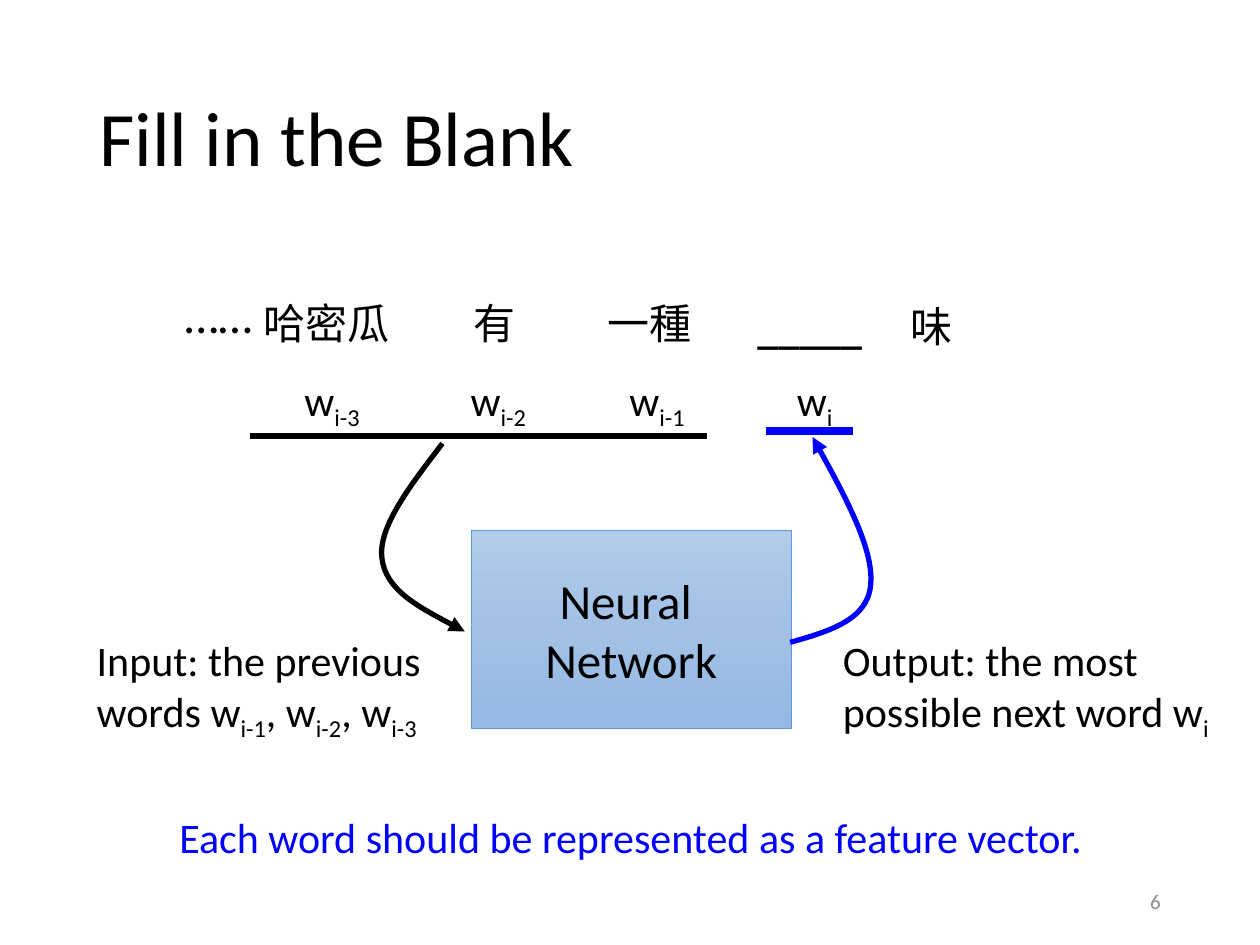
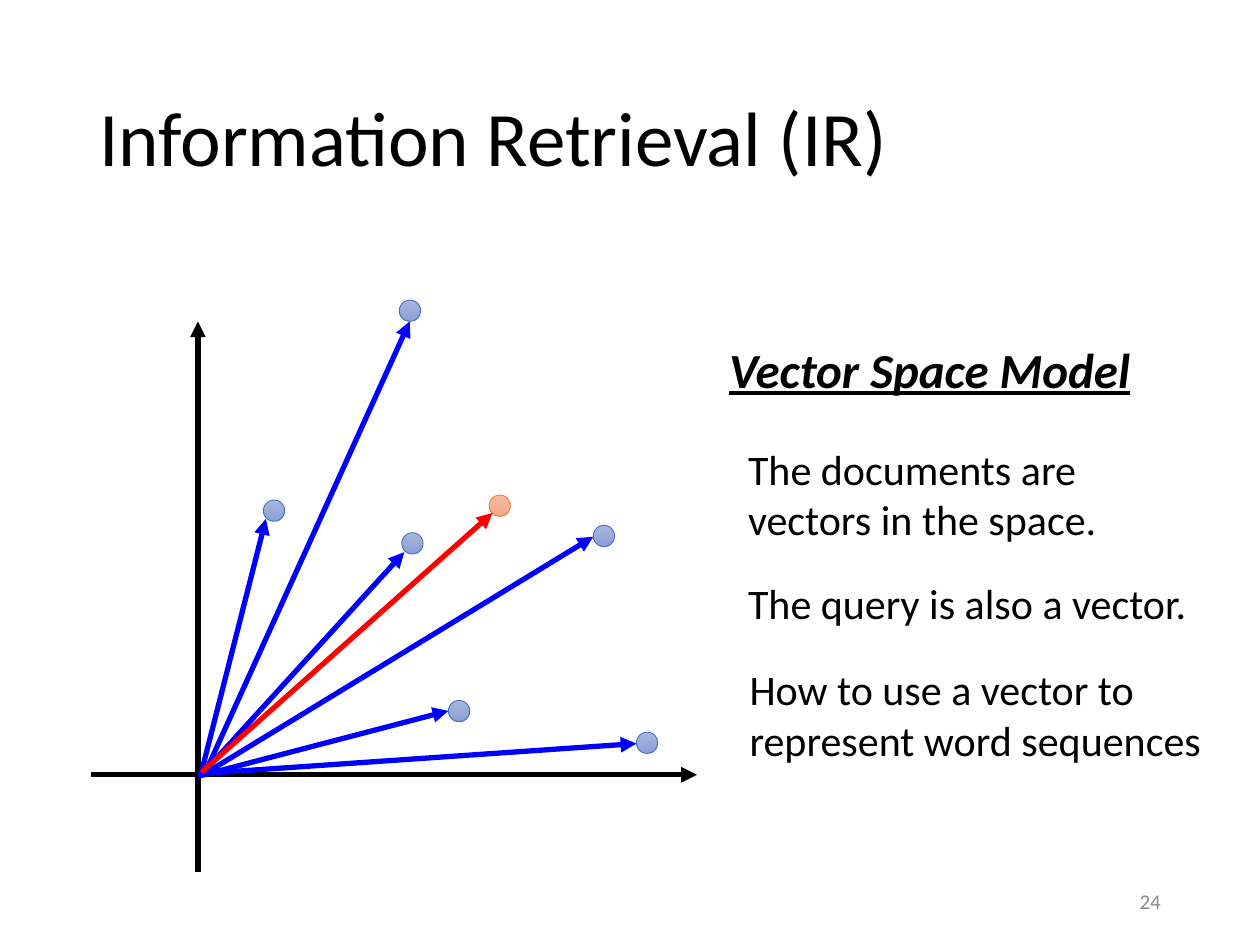
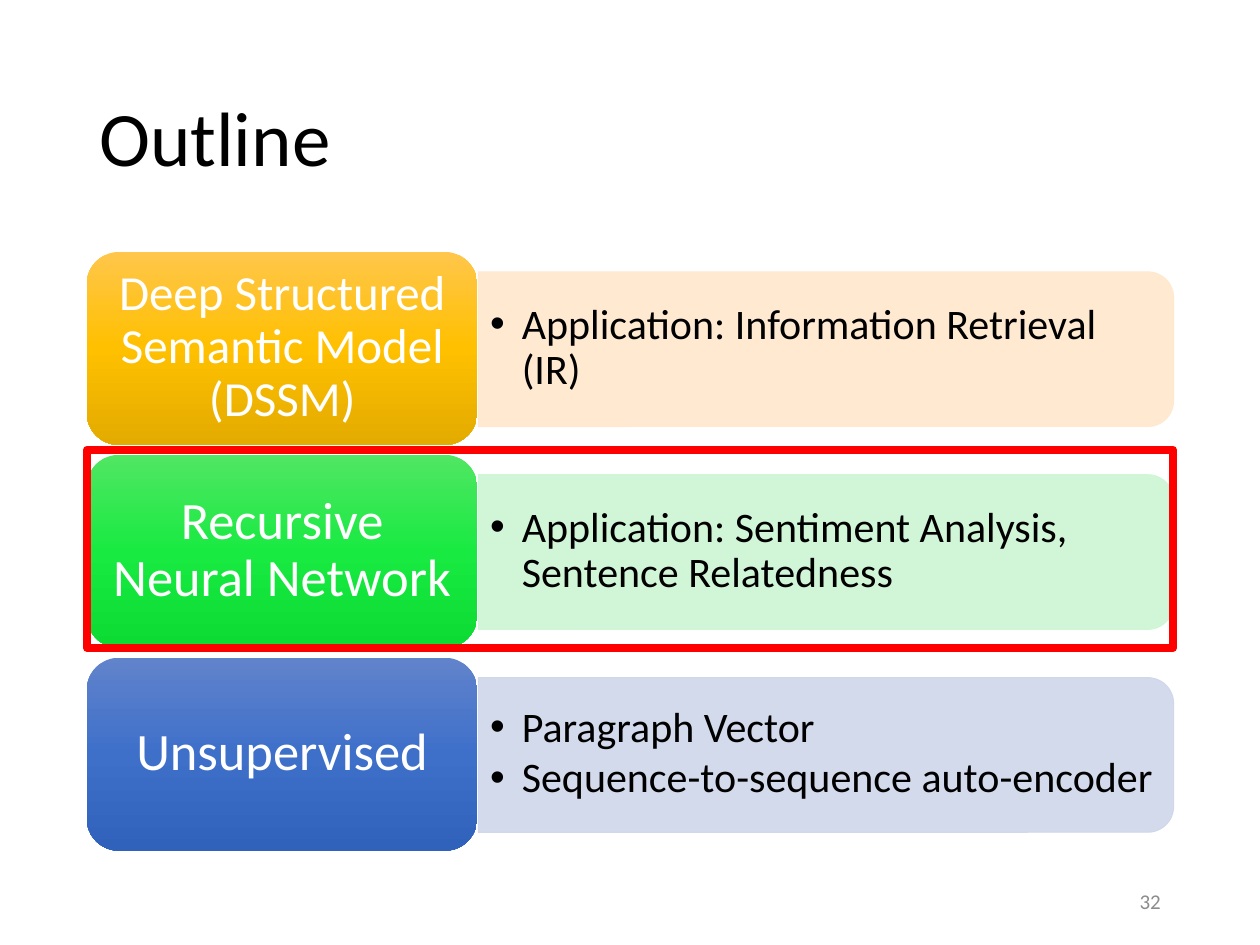
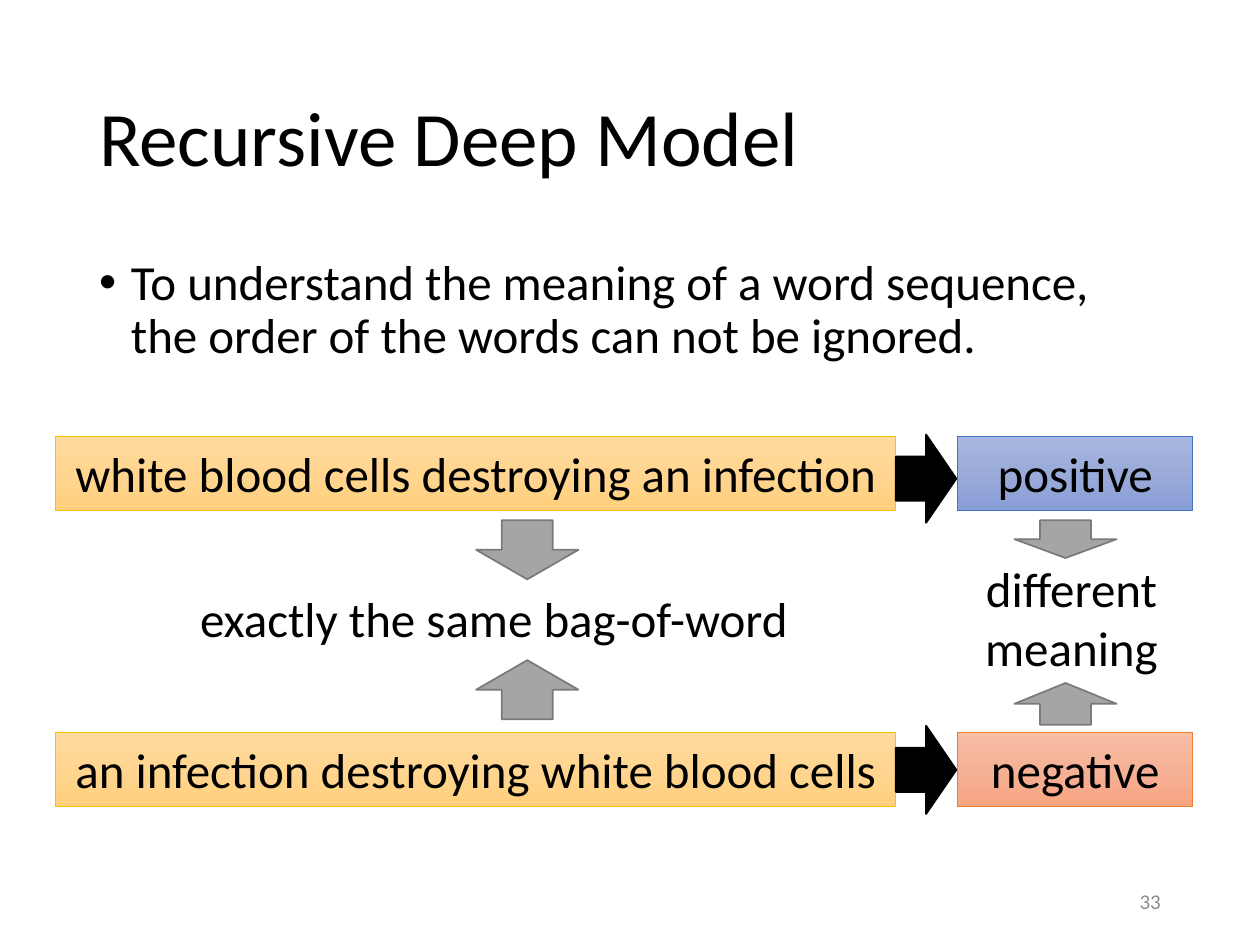
from copy import deepcopy
from lxml import etree
from pptx import Presentation
from pptx.dml.color import RGBColor
from pptx.enum.shapes import MSO_CONNECTOR, MSO_SHAPE
from pptx.enum.text import MSO_ANCHOR, PP_ALIGN
from pptx.oxml.ns import qn
from pptx.util import Cm, Pt

RECT = MSO_SHAPE.RECTANGLE
ROUND = MSO_SHAPE.ROUNDED_RECTANGLE
PANEL = MSO_SHAPE.ROUND_2_SAME_RECTANGLE
OVAL = MSO_SHAPE.OVAL
RIGHT = MSO_SHAPE.RIGHT_ARROW
DOWN = MSO_SHAPE.DOWN_ARROW
STRAIGHT = MSO_CONNECTOR.STRAIGHT
TOP = MSO_ANCHOR.TOP
MID = MSO_ANCHOR.MIDDLE
LEFT = PP_ALIGN.LEFT
CENTER = PP_ALIGN.CENTER
END = PP_ALIGN.RIGHT

FONT = "Calibri"
BLACK = "000000"
WHITE = "FFFFFF"
BLUE = "0000FF"
RED = "FF0000"
GREY = "8C8C8C"
SKY = ["B1CBE9", "A3C1E5", "93B9E4"]
INDIGO = ["A8B7DF", "9AABD9", "889ED7"]
CORAL = ["F7BDA5", "F5B196", "F8A582"]
AMBER = ["FFDB9E", "FFD590", "FFD07C"]

color = RGBColor.from_string


def ink(shape, hue, width, arrow=False):
    shape.line.color.rgb = color(hue)
    shape.line.width = Pt(width)
    props = shape._element.spPr
    if arrow:
        etree.SubElement(props.find(qn("a:ln")), qn("a:tailEnd"), type="triangle")
    if props.find(qn("a:effectLst")) is None:
        etree.SubElement(props, qn("a:effectLst"))


def put(slide, box, lines=(), size=24, hue=BLACK, align=LEFT, anchor=TOP,
        kind=None, fill=None, edge=None, width=0.5, spread=None,
        level=0, indent=None, bullet=False, after=None):
    area = [Cm(v) for v in box]
    if kind is None:
        shape = slide.shapes.add_textbox(*area)
    else:
        shape = slide.shapes.add_shape(kind, *area)
        shape.shadow.inherit = False
        if isinstance(fill, list):
            shape.fill.gradient()
            shape.fill.gradient_angle = 270
            stops = shape._element.spPr.find(qn("a:gradFill")).find(qn("a:gsLst"))
            stops.insert(1, deepcopy(stops[0]))
            for stop, tint, place in zip(shape.fill.gradient_stops, fill, (0, 0.5, 1)):
                stop.color.rgb = color(tint)
                stop.position = place
        elif fill:
            shape.fill.solid()
            shape.fill.fore_color.rgb = color(fill)
        else:
            shape.fill.background()
        if edge:
            ink(shape, edge, width)
        else:
            shape.line.fill.background()
    frame = shape.text_frame
    frame.word_wrap = True
    frame.vertical_anchor = anchor
    for n, line in enumerate(lines):
        para = frame.paragraphs[0] if n == 0 else frame.add_paragraph()
        parts = line.split("~")
        para.text = parts[0]
        for k, part in enumerate(parts[1:]):
            run = para.add_run()
            run.text = part
            if k % 2 == 0:
                run.font._element.set("baseline", "-25000")
        para.alignment = align
        para.level = level
        if spread:
            para.line_spacing = spread
        if after:
            para.space_after = Pt(after)
        props = para._p.get_or_add_pPr()
        if indent:
            props.set("marL", str(Cm(indent)))
            props.set("indent", str(-Cm(indent) if bullet else 0))
        if bullet:
            etree.SubElement(props, qn("a:buFont"), typeface="Arial")
            etree.SubElement(props, qn("a:buChar"), char="•")
        para.font.name = FONT
        para.font.size = Pt(size)
        para.font.color.rgb = color(hue)
    return shape


deck = Presentation()
deck.slide_width = Cm(25.4)
deck.slide_height = Cm(19.05)

pages = []
for title, number in [("Fill in the Blank", 6), ("Information Retrieval (IR)", 24),
                      ("Outline", 32), ("Recursive Deep Model", 33)]:
    page = deck.slides.add_slide(deck.slide_layouts[6])
    put(page, (1.75, 1.02, 21.9, 3.68), [title], 44, anchor=MID, spread=0.9)
    put(page, (17.93, 17.65, 5.72, 1.02), [str(number)], 12, GREY, END, MID)
    pages.append(page)
blank, search, outline, model = pages

for text, left, top, wide in [
        ("哈密瓜", 3.78, 5.87, 5.61), ("有", 8.48, 5.87, 2.97), ("一種", 11.61, 5.87, 2.97),
        ("味", 17.86, 5.94, 1.83),
        ("w~i-3", 3.89, 7.42, 5.61), ("w~i-2", 8.56, 7.42, 2.97),
        ("w~i-1", 11.76, 7.42, 2.97), ("w~i", 14.94, 7.42, 2.97)]:
    put(blank, (left, top, wide, 1.27), [text], align=CENTER)
gap = put(blank, (14.99, 5.97, 2.67, 1.27), ["_____"], align=CENTER)
gap.text_frame.paragraphs[0].font.bold = True
put(blank, (2.64, 5.61, 3.53, 1.45), ["……"], 28, align=CENTER)

for start, stop, level, hue, width in [(15.44, 17.2, 8.69, BLUE, 4.5),
                                       (5.03, 14.25, 8.79, BLACK, 3)]:
    rule = blank.shapes.add_connector(STRAIGHT, Cm(start), Cm(level), Cm(stop), Cm(level))
    ink(rule, hue, width)

put(blank, (9.5, 10.69, 6.45, 3.99), ["Neural ", "Network"], 28, align=CENTER,
    anchor=MID, kind=RECT, fill=SKY, edge="5B9BD5")

for hue, points in [
        (BLACK, [(8.92, 8.94), (8.28, 9.78), (7.62, 10.62), (7.7, 11.25),
                 (7.77, 11.89), (8.59, 12.32), (9.37, 12.73)]),
        (BLUE, [(15.93, 12.95), (16.71, 12.73), (17.48, 12.5), (17.55, 11.81),
                (17.63, 11.13), (17.02, 9.96), (16.38, 8.81)])]:
    spots = [(Cm(x), Cm(y)) for x, y in points]
    pen = blank.shapes.build_freeform(*spots[0])
    pen.add_line_segments(spots[1:], close=False)
    curve = pen.convert_to_shape()
    curve.fill.background()
    ink(curve, hue, 3, True)
    trace = next(curve._element.iter(qn("a:path")))
    steps = trace.findall(qn("a:lnTo"))
    for n in range(0, len(steps), 3):
        bend = etree.SubElement(trace, qn("a:cubicBezTo"))
        for step in steps[n:n + 3]:
            bend.append(step[0])
            trace.remove(step)

put(blank, (0.43, 12.67, 9.27, 2.31),
    ["Input: the previous words w~i-1~, w~i-2~, w~i-3"], level=1, indent=1.27)
put(blank, (15.47, 12.67, 9.19, 2.31),
    ["Output: the most possible next word w~i"], level=1, indent=1.27)
put(blank, (3.05, 16.23, 19.33, 1.27),
    ["Each word should be represented as a feature vector."], hue=BLUE, align=CENTER)

DOC = (BLUE, INDIGO, "4472C4")
QUERY = (RED, CORAL, "ED7D31")
for ends, dot, look in [
        ((1.83, 15.62, 14.05, 15.62), None, (BLACK, None, None)),
        ((3.99, 17.58, 3.99, 6.48), None, (BLACK, None, None)),
        ((4.06, 15.57, 5.36, 10.46), (5.31, 10.08), DOC),
        ((3.99, 15.65, 9.04, 14.33), (9.04, 14.12), DOC),
        ((3.99, 15.6, 12.83, 14.99), (12.83, 14.76), DOC),
        ((4.09, 15.62, 11.96, 10.82), (11.96, 10.59), DOC),
        ((4.14, 15.57, 8.26, 6.48), (8.05, 6.05), DOC),
        ((4.06, 15.62, 8.15, 11.13), (8.1, 10.74), DOC),
        ((4.06, 15.57, 9.93, 10.34), (9.86, 9.98), QUERY)]:
    hue, fill, edge = look
    if dot:
        put(search, (*dot, 0.43, 0.43), kind=OVAL, fill=fill, edge=edge)
    arrow = search.shapes.add_connector(STRAIGHT, *[Cm(v) for v in ends])
    ink(arrow, hue, 3, True)

head = put(search, (14.45, 6.71, 9.17, 1.45), ["Vector Space Model"], 28)
font = head.text_frame.paragraphs[0].font
font.bold = font.italic = font.underline = True
put(search, (14.83, 8.81, 8.18, 2.31), ["The documents are vectors in the space."])
put(search, (14.83, 11.51, 9.65, 1.27), ["The query is also a vector."])
put(search, (14.86, 13.26, 9.65, 2.31), ["How to use a vector to represent word sequences"])

for n, (name, size, fill, pale, items) in enumerate([
        ("Deep Structured Semantic Model\v(DSSM)", 28, ["FFC64B", "FFC000", "E3AB00"],
         "FFE8CC", ["Application: Information Retrieval (IR)"]),
        ("Recursive Neural Network", 30, ["51E663", "19EA42", "0CDB34"],
         "CCF6D3", ["Application: Sentiment Analysis, Sentence Relatedness"]),
        ("Unsupervised", 30, ["6183CB", "3E70CA", "3062BB"],
         "CFD6EA", ["Paragraph Vector", "Sequence-to-sequence auto-encoder"])]):
    down = 4.09 * n
    panel = put(outline, (15.09, 0.03 + down, 3.12, 14.02), kind=PANEL, fill=pale, edge=pale)
    panel.rotation = 90
    for tint in panel._element.spPr.iter(qn("a:srgbClr")):
        etree.SubElement(tint, qn("a:alpha"), val="90000")
    put(outline, (9.63, 5.61 + down, 13.87, 2.82), items, anchor=MID, spread=0.9,
        level=1, indent=0.64, bullet=True, after=3)
    put(outline, (1.75, 5.08 + down, 7.87, 3.89), kind=ROUND, fill=fill)
    label = put(outline, (1.93, 5.26 + down, 7.52, 3.51), [name], size, WHITE,
                CENTER, MID, spread=0.9).text_frame
    label.margin_left = label.margin_right = Cm(0.3)
    label.margin_top = label.margin_bottom = Cm(0.15)
put(outline, (1.75, 9.07, 21.9, 3.99), kind=RECT, edge=RED, width=4.5)

put(model, (1.75, 5.08, 21.9, 12.09),
    ["To understand the meaning of a word sequence, "
     "the order of the words can not be ignored."],
    28, spread=0.9, indent=0.64, bullet=True)
for top, tip, text, mood, fill, edge in [
        (8.79, 8.76, "white blood cells destroying an infection",
         "positive", INDIGO, "4472C4"),
        (14.76, 14.63, "an infection destroying white blood cells",
         "negative", CORAL, "ED7D31")]:
    put(model, (1.12, top, 16.94, 1.5), [text], 28, align=CENTER, anchor=MID,
        kind=RECT, fill=AMBER, edge="FFC000")
    put(model, (19.3, top, 4.75, 1.5), [mood], 28, align=CENTER, anchor=MID,
        kind=RECT, fill=fill, edge=edge)
    put(model, (18.06, tip, 1.22, 1.78), kind=RIGHT, fill=BLACK, edge=BLACK, width=1)
put(model, (3.73, 11.73, 12.45, 1.45), ["exactly the same bag-of-word"], 28, align=CENTER)
put(model, (18.92, 11.13, 5.36, 2.64), ["different", "meaning"], 28, align=CENTER)
for left, top, high, flip in [(9.6, 10.49, 1.19, False), (9.6, 13.31, 1.19, True),
                              (20.45, 10.49, 0.76, False), (20.45, 13.77, 0.84, True)]:
    arrow = put(model, (left, top, 2.06, high), kind=DOWN, fill="A5A5A5",
                edge="7A7A7A", width=1)
    if flip:
        arrow._element.spPr.find(qn("a:xfrm")).set("flipV", "1")

deck.save("out.pptx")
